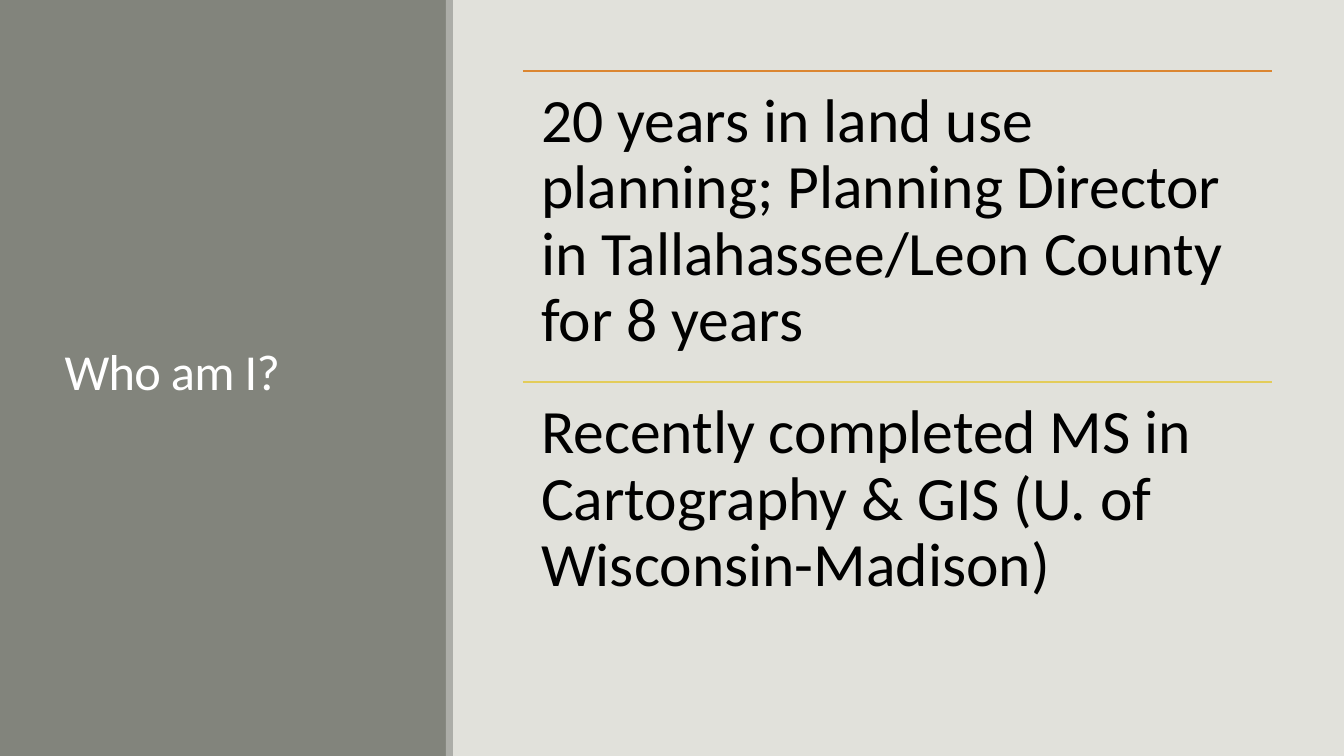
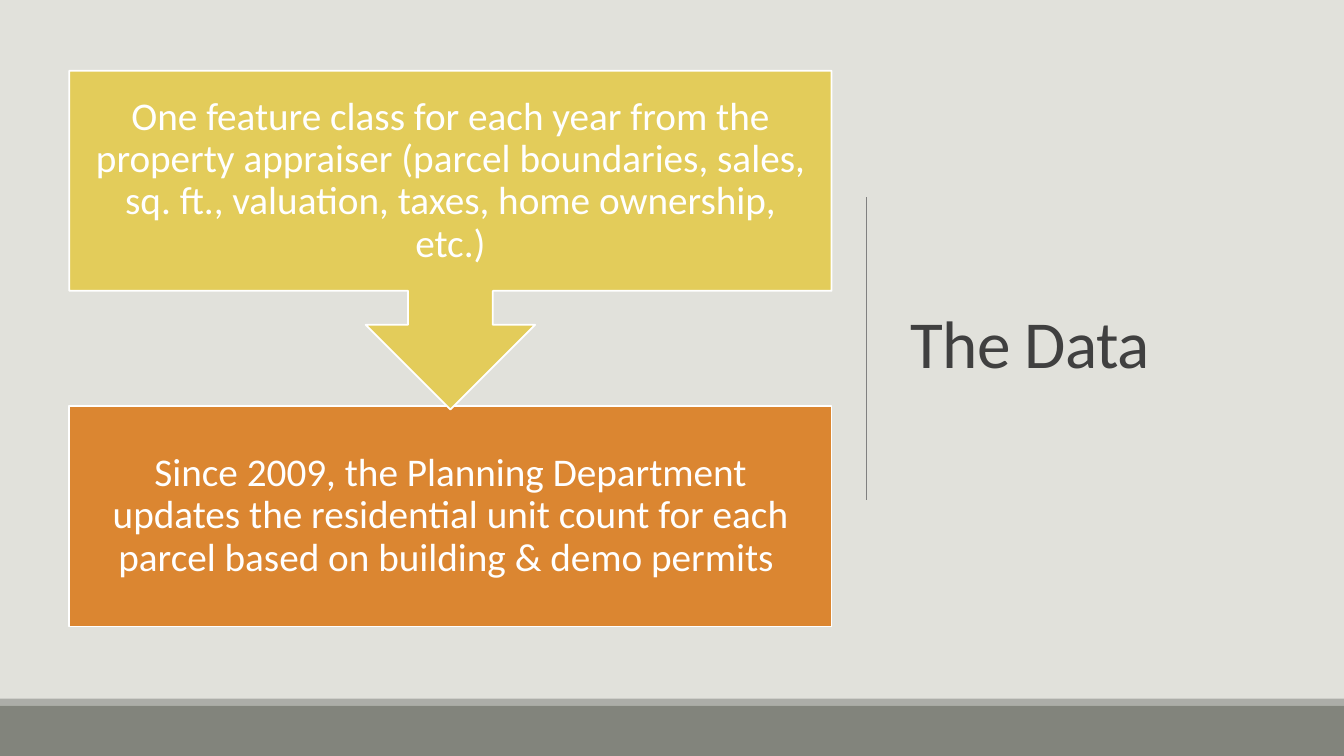
from dataclasses import dataclass

from lxml import etree
from pptx import Presentation
from pptx import util as u
from pptx.dml.color import RGBColor
from pptx.enum import shapes, text
from pptx.oxml.ns import qn

COLUMNS, ROWS = 192, 108  # square grid cells


@dataclass(frozen=True)
class Theme:
    font: str = "Calibri"
    background: str = "E1E1DB"
    band: str = "82847C"
    band_edge: str = "ACADA8"
    orange: str = "DB8631"
    yellow: str = "E3CC5A"
    rule: str = "808080"
    title: str = "404040"
    black: str = "000000"
    white: str = "FFFFFF"
    side_title_size: int = 36
    title_size: int = 48
    statement_size: int = 44
    box_size: int = 28
    line_width: float = 1.25
    thin_line: float = 0.5


class Deck:
    """Holds the theme, the presentation and the current slide."""

    def __init__(self, theme):
        self.theme = theme
        self.presentation = Presentation()
        self.presentation.slide_width = u.Inches(13.33)
        self.presentation.slide_height = u.Inches(7.5)
        self.slide = None

    def grid(self, *cells):
        """Turn alternating columns and rows into slide lengths."""
        column = self.presentation.slide_width / COLUMNS
        row = self.presentation.slide_height / ROWS
        return [round(n * cell) for n, cell in zip(cells, (column, row) * 2)]

    def add_slide(self):
        self.slide = self.presentation.slides.add_slide(self.presentation.slide_layouts[6])
        fill = self.slide.background.fill
        fill.solid()
        fill.fore_color.rgb = RGBColor.from_string(self.theme.background)

    def block(self, area, color, outline=None, kind=shapes.MSO_SHAPE.RECTANGLE):
        shape = self.slide.shapes.add_shape(kind, *self.grid(*area))
        shape.shadow.inherit = False
        shape.fill.solid()
        shape.fill.fore_color.rgb = RGBColor.from_string(color)
        if outline:
            shape.line.color.rgb = RGBColor.from_string(outline)
            shape.line.width = u.Pt(self.theme.line_width)
        else:
            shape.line.fill.background()
        return shape

    def line(self, start, end, color, width):
        connector = self.slide.shapes.add_connector(
            shapes.MSO_CONNECTOR.STRAIGHT, *self.grid(*start, *end))
        connector.line.color.rgb = RGBColor.from_string(color)
        connector.line.width = u.Pt(width)
        etree.SubElement(connector._element.spPr, qn("a:effectLst"))

    def fill_text(self, shape, words, size, color, frame_format, paragraph_format):
        frame = shape.text_frame
        paragraph = frame.paragraphs[0]
        run = paragraph.add_run()
        run.text = words
        formats = [
            (frame, {"word_wrap": True, **frame_format}),
            (paragraph, paragraph_format),
            (run.font, {"name": self.theme.font, "size": u.Pt(size)}),
        ]
        for target, values in formats:
            for name, value in values.items():
                setattr(target, name, value)
        run.font.color.rgb = RGBColor.from_string(color)
        return run

    def text_box(self, area, *content):
        return self.fill_text(self.slide.shapes.add_textbox(*self.grid(*area)), *content)

    def title(self, area, words, size, color):
        run = self.text_box(area, words, size, color,
                            {"vertical_anchor": text.MSO_ANCHOR.MIDDLE}, {"line_spacing": 0.85})
        run.font._element.set("spc", "-50")

    def statement(self, area, words, color):
        """Large text under a coloured rule."""
        left, top, width, _ = area
        self.line((left, top), (left + width, top), color, self.theme.line_width)
        self.text_box(area, words, self.theme.statement_size, self.theme.black,
                      insets(0.18), {"line_spacing": 0.9})

    def message_box(self, area, words, color, kind=shapes.MSO_SHAPE.RECTANGLE):
        shape = self.block(area, color, self.theme.white, kind)
        self.fill_text(shape, words, self.theme.box_size, self.theme.white,
                       {**insets(0.22), "vertical_anchor": text.MSO_ANCHOR.MIDDLE},
                       {"line_spacing": 0.9, "alignment": text.PP_ALIGN.CENTER})

    def side_band(self, width):
        self.block((0, 0, width, ROWS), self.theme.band)
        self.block((width - 0.1, 0, 1, ROWS), self.theme.band_edge)

    def footer_band(self, height):
        top = ROWS - height
        self.block((0, top - 1, COLUMNS, 1), self.theme.band_edge)
        self.block((0, top, COLUMNS, height), self.theme.band)


def insets(inches):
    return {f"margin_{side}": u.Inches(inches) for side in ("left", "top", "right", "bottom")}


def build_who_am_i(deck):
    theme = deck.theme
    deck.add_slide()
    deck.side_band(63.8)
    deck.title((7.8, 8.2, 48.5, 90.9), "Who am I?", theme.side_title_size, theme.white)
    statements = [
        ("20 years in land use planning; Planning Director in Tallahassee/Leon County for 8 years",
         theme.orange),
        ("Recently completed MS in Cartography & GIS (U. of Wisconsin-Madison)", theme.yellow),
    ]
    height = 44.5
    for index, (words, color) in enumerate(statements):
        deck.statement((74.7, 10.1 + index * height, 107, height), words, color)


def build_the_data(deck):
    theme = deck.theme
    deck.add_slide()
    deck.title((128.7, 9.9, 53.1, 79.6), "The Data", theme.title_size, theme.title)
    deck.line((123.7, 28.2), (123.7, 71.4), theme.rule, theme.thin_line)
    deck.footer_band(7.2)
    left, width = 9.9, 108.9
    deck.message_box((left, 58, width, 31.5),
                     "Since 2009, the Planning Department updates the residential unit count "
                     "for each parcel based on building & demo permits ", theme.orange)
    deck.message_box((left, 10.1, width, 48.4),
                     "One feature class for each year from the property appraiser (parcel "
                     "boundaries, sales, sq. ft., valuation, taxes, home ownership, etc.)",
                     theme.yellow, shapes.MSO_SHAPE.DOWN_ARROW_CALLOUT)


def main():
    deck = Deck(Theme())
    build_who_am_i(deck)
    build_the_data(deck)
    deck.presentation.save("out.pptx")


if __name__ == "__main__":
    main()
